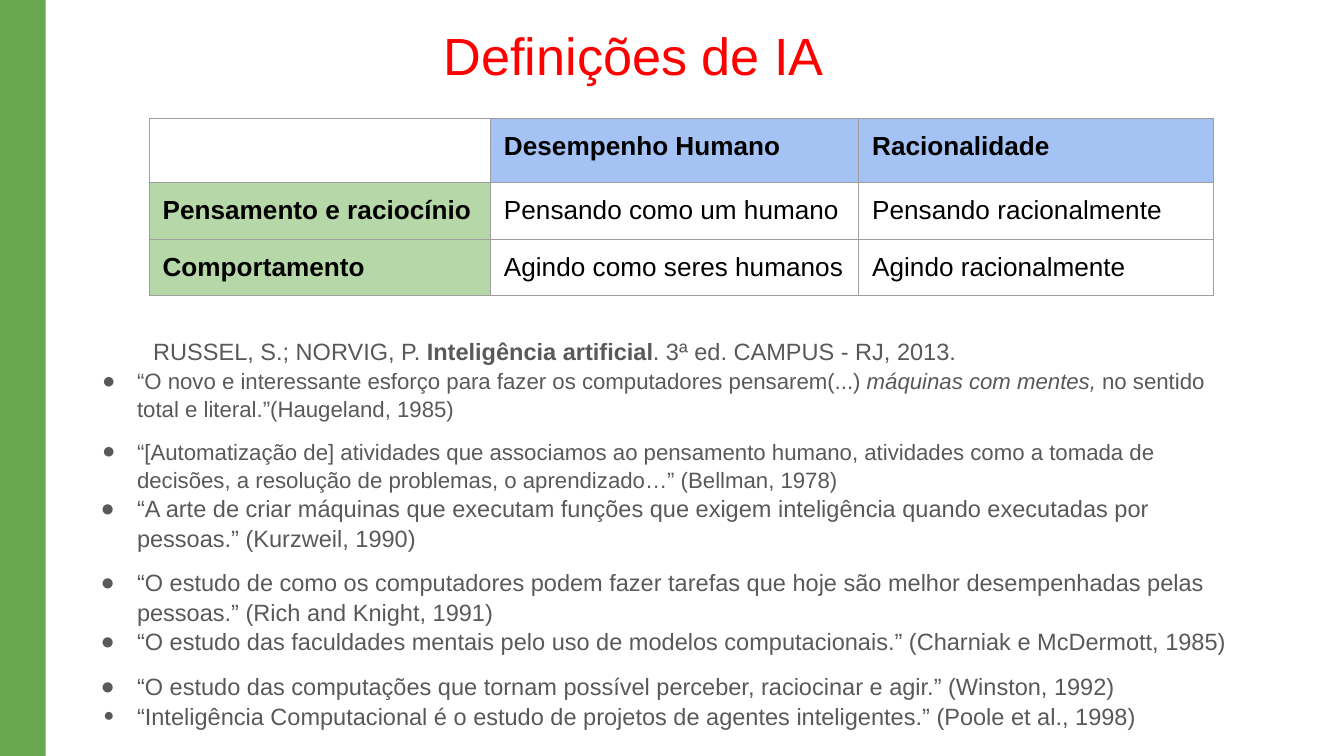
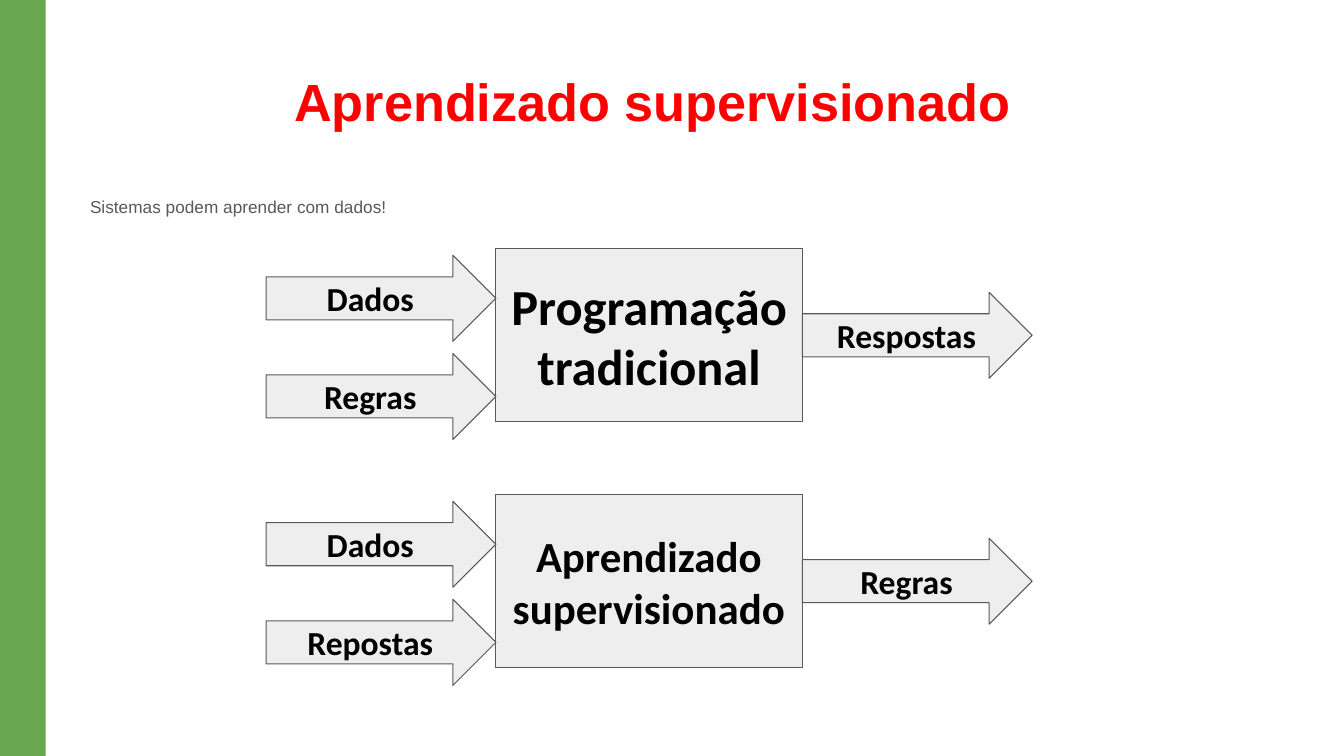
from lxml.etree import SubElement
from pptx import Presentation
from pptx.dml.color import RGBColor
from pptx.enum.shapes import MSO_SHAPE
from pptx.enum.text import MSO_ANCHOR, MSO_AUTO_SIZE, PP_ALIGN
from pptx.oxml.ns import qn
from pptx.util import Inches, Pt

SLIDE_WIDTH = Inches(10)
SLIDE_HEIGHT = SLIDE_WIDTH * 9 // 16

GREEN, RED, GRAY, BLACK = "6AA84F", "FF0000", "595959", "000000"
HEADER_BLUE, HEADER_GREEN = "A4C2F4", "B6D7A8"
BORDER, BLOCK_FILL = "9E9E9E", "EEEEEE"

DEFINITION_TABLE = [
    ("", "Desempenho Humano", "Racionalidade"),
    ("Pensamento e raciocínio", "Pensando como um humano", "Pensando racionalmente"),
    ("Comportamento", "Agindo como seres humanos", "Agindo racionalmente"),
]
COLUMN_WIDTHS = (2.54, 2.74, 2.64)
ROW_HEIGHTS = (0.48, 0.42, 0.42)

REFERENCE = [
    ("RUSSEL, S.; NORVIG, P. ", ""),
    ("Inteligência artificial", "bold"),
    (". 3ª ed. CAMPUS - RJ, 2013.", ""),
]
# runs, size, hanging indent, bullet size in percent
QUOTES = [
    ([("“O novo e interessante esforço para fazer os computadores pensarem(...) ", ""),
      ("máquinas com mentes,", "italic"),
      (" no sentido total e literal.”(Haugeland, 1985)", "")], 11.9, 0.26, 100),
    ([("“[Automatização de] atividades que associamos ao pensamento humano, atividades "
       "como a tomada de decisões, a resolução de problemas, o aprendizado…” "
       "(Bellman, 1978)", "")], 11.9, 0.26, 100),
    ([("“A arte de criar máquinas que executam funções que exigem inteligência quando "
       "executadas por pessoas.” (Kurzweil, 1990)", "")], 12.6, 0.27, 100),
    ([("“O estudo de como os computadores podem fazer tarefas que hoje são melhor "
       "desempenhadas pelas pessoas.” (Rich and Knight, 1991)", "")], 12.6, 0.27, 100),
    ([("“O estudo das faculdades mentais pelo uso de modelos computacionais.” "
       "(Charniak e McDermott, 1985)", "")], 12.6, 0.27, 100),
    ([("“O estudo das computações que tornam possível perceber, raciocinar e agir.” "
       "(Winston, 1992)", "")], 12.6, 0.27, 100),
    ([("“Inteligência Computacional é o estudo de projetos de agentes inteligentes.” "
       "(Poole et al., 1998)", "")], 12.6, 0.25, 78),
]

# top, process lines, process text size, inputs, output
FLOWS = [
    (1.85, ("Programação", "tradicional"), 27, ("Dados", "Regras"), "Respostas"),
    (3.68, ("Aprendizado", "supervisionado"), 23, ("Dados", "Repostas"), "Regras"),
]
FLOW_LEFT = 1.98
ARROW_WIDTH, ARROW_HEIGHT = 1.71, 0.64
PROCESS_WIDTH, PROCESS_HEIGHT = 2.28, 1.29
INPUT_OFFSET, INPUT_STEP = 0.05, 0.73


def color(hex_code):
    return RGBColor.from_string(hex_code)


def style(paragraph, size, hex_code, bold=False, name="Arial"):
    font = paragraph.font
    font.name, font.size, font.bold = name, Pt(size), bold
    font.color.rgb = color(hex_code)


def set_frame(frame, horizontal, vertical):
    frame.margin_left = frame.margin_right = Inches(horizontal)
    frame.margin_top = frame.margin_bottom = Inches(vertical)
    frame.vertical_anchor = MSO_ANCHOR.MIDDLE
    frame.word_wrap = True
    frame.auto_size = MSO_AUTO_SIZE.NONE


def place(shape, left, top, width, height):
    shape.left, shape.top = Inches(left), Inches(top)
    shape.width, shape.height = Inches(width), Inches(height)


def add_plain_shape(slide, kind, box, fill, line=None):
    shape = slide.shapes.add_shape(kind, *map(Inches, box))
    shape.shadow.inherit = False
    shape.fill.solid()
    shape.fill.fore_color.rgb = color(fill)
    if line:
        shape.line.color.rgb = color(line)
        shape.line.width = Pt(0.56)
    else:
        shape.line.fill.background()
    return shape


def add_base_slide(deck, title, box, align, bold=False):
    """Add a slide with the green side band and a red title."""
    slide = deck.slides.add_slide(deck.slide_layouts[5])
    band = add_plain_shape(slide, MSO_SHAPE.RECTANGLE, (0, 0, 0.34, 1), GREEN)
    band.height = SLIDE_HEIGHT
    heading = slide.shapes.title
    place(heading, *box)
    set_frame(heading.text_frame, 0.08, 0.04)
    heading.text_frame.text = title
    paragraph = heading.text_frame.paragraphs[0]
    paragraph.alignment = align
    style(paragraph, 28, RED, bold)
    return slide


def add_body(slide, box):
    body = slide.shapes.add_textbox(*map(Inches, box))
    set_frame(body.text_frame, 0.08, 0.04)
    return body.text_frame


def add_runs(paragraph, runs):
    for text, emphasis in runs:
        run = paragraph.add_run()
        run.text = text
        if emphasis == "bold":
            run.font.bold = True
        elif emphasis == "italic":
            run.font.italic = True


def indent(paragraph, left, first_line=0):
    """Set the indents and return the paragraph properties."""
    properties = paragraph._p.get_or_add_pPr()
    properties.set("marL", str(Inches(left)))
    properties.set("indent", str(Inches(first_line)))
    return properties


def add_bullet(properties, hex_code, percent):
    bullet_color = SubElement(properties, qn("a:buClr"))
    SubElement(bullet_color, qn("a:srgbClr"), val=hex_code)
    SubElement(properties, qn("a:buSzPct"), val=str(percent * 1000))
    SubElement(properties, qn("a:buFont"), typeface="Arial")
    SubElement(properties, qn("a:buChar"), char="●")


def set_borders(cell):
    properties = cell._tc.get_or_add_tcPr()
    for side in ("lnL", "lnR", "lnT", "lnB"):
        line = SubElement(properties, qn(f"a:{side}"), w=str(Pt(0.75)))
        fill = SubElement(line, qn("a:solidFill"))
        SubElement(fill, qn("a:srgbClr"), val=BORDER)


def fill_cell(cell, text, row, column):
    set_borders(cell)
    is_header = bool(text) and (row == 0 or column == 0)
    if is_header:
        cell.fill.solid()
        cell.fill.fore_color.rgb = color(HEADER_BLUE if row == 0 else HEADER_GREEN)
    else:
        cell.fill.background()
    if text:
        cell.margin_left = cell.margin_right = Inches(0.1)
        cell.margin_top = cell.margin_bottom = Inches(0.1)
        cell.text = text
        style(cell.text_frame.paragraphs[0], 14, BLACK, is_header)


def add_definition_table(slide):
    box = (1.11, 0.88, sum(COLUMN_WIDTHS), sum(ROW_HEIGHTS))
    table = slide.shapes.add_table(
        len(ROW_HEIGHTS), len(COLUMN_WIDTHS), *map(Inches, box)).table
    table.first_row = table.horz_banding = False
    for column, width in zip(table.columns, COLUMN_WIDTHS):
        column.width = Inches(width)
    for row, height in zip(table.rows, ROW_HEIGHTS):
        row.height = Inches(height)
    for r, texts in enumerate(DEFINITION_TABLE):
        for c, text in enumerate(texts):
            fill_cell(table.cell(r, c), text, r, c)


def add_quotes(slide):
    frame = add_body(slide, (0.56, 2.37, 8.82, 3.19))
    reference = frame.paragraphs[0]
    indent(reference, 0.5)
    reference.line_spacing = 1.05
    style(reference, 12.6, GRAY)
    add_runs(reference, REFERENCE)
    for i, (runs, size, hanging, percent) in enumerate(QUOTES):
        quote = frame.add_paragraph()
        add_bullet(indent(quote, 0.38, -hanging), GRAY, percent)
        quote.line_spacing = 1.05
        quote.space_before = Pt(8 if i % 2 else 0)
        style(quote, size, GRAY)
        add_runs(quote, runs)


def add_block(slide, kind, box, lines, size):
    block = add_plain_shape(slide, kind, box, BLOCK_FILL, GRAY)
    set_frame(block.text_frame, 0.07, 0.07)
    block.text_frame.text = "\n".join(lines)
    for paragraph in block.text_frame.paragraphs:
        paragraph.alignment = PP_ALIGN.CENTER
        style(paragraph, size, BLACK, True, "Calibri")


def add_arrow(slide, left, top, label):
    box = (left, top, ARROW_WIDTH, ARROW_HEIGHT)
    add_block(slide, MSO_SHAPE.RIGHT_ARROW, box, [label], 18)


def add_flow(slide, top, process, size, inputs, output):
    process_left = FLOW_LEFT + ARROW_WIDTH
    add_block(slide, MSO_SHAPE.RECTANGLE,
              (process_left, top, PROCESS_WIDTH, PROCESS_HEIGHT), process, size)
    for i, label in enumerate(inputs):
        add_arrow(slide, FLOW_LEFT, top + INPUT_OFFSET + i * INPUT_STEP, label)
    add_arrow(slide, process_left + PROCESS_WIDTH,
              top + (PROCESS_HEIGHT - ARROW_HEIGHT) / 2, output)


def main():
    deck = Presentation()
    deck.slide_width, deck.slide_height = SLIDE_WIDTH, SLIDE_HEIGHT

    definitions = add_base_slide(
        deck, "Definições de IA", (0.56, 0.03, 8.31, 0.76), PP_ALIGN.CENTER)
    add_quotes(definitions)
    add_definition_table(definitions)

    learning = add_base_slide(
        deck, "Aprendizado supervisionado", (2.11, 0.3, 6.23, 0.9), PP_ALIGN.LEFT, True)
    frame = add_body(learning, (0.59, 1.35, 8.84, 0.74))
    frame.vertical_anchor = MSO_ANCHOR.TOP
    frame.margin_top = Inches(0.09)
    frame.text = "Sistemas podem aprender com dados!"
    frame.paragraphs[0].line_spacing = 1.15
    style(frame.paragraphs[0], 9.2, GRAY)
    for flow in FLOWS:
        add_flow(learning, *flow)

    deck.save("out.pptx")


if __name__ == "__main__":
    main()
